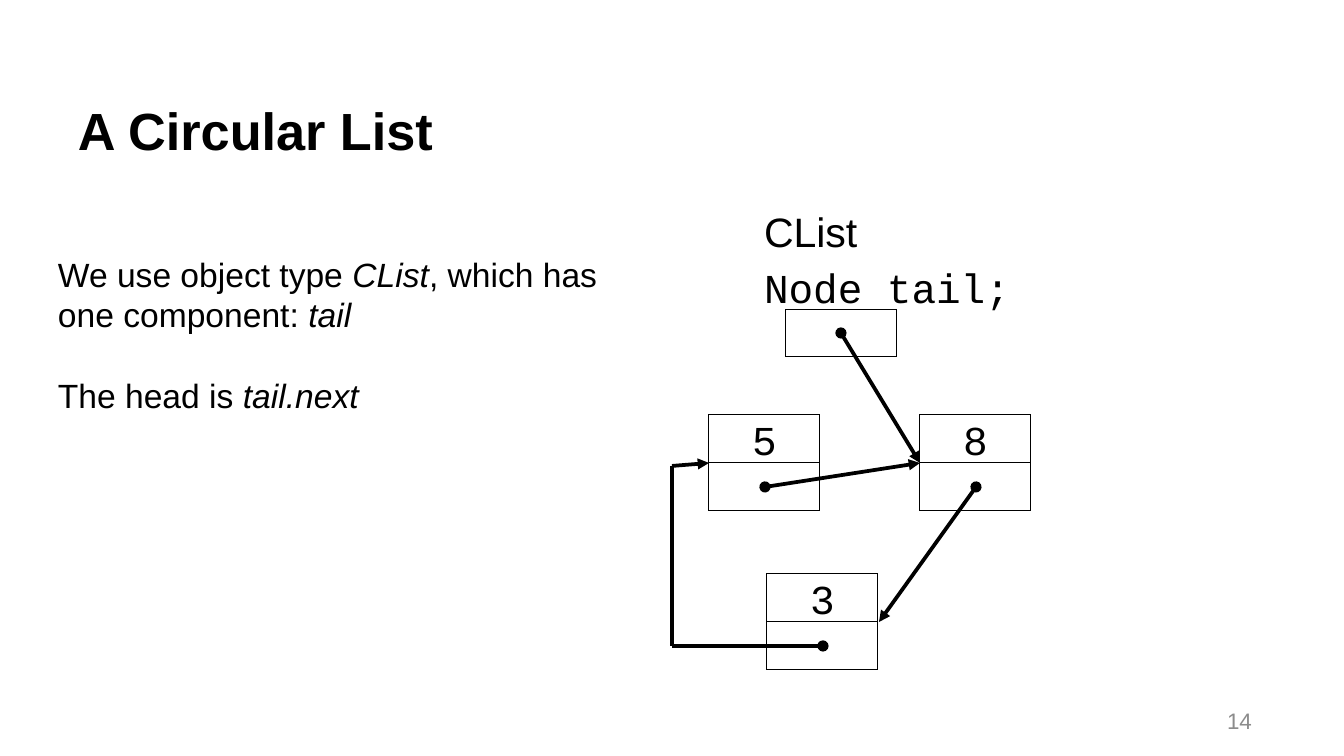
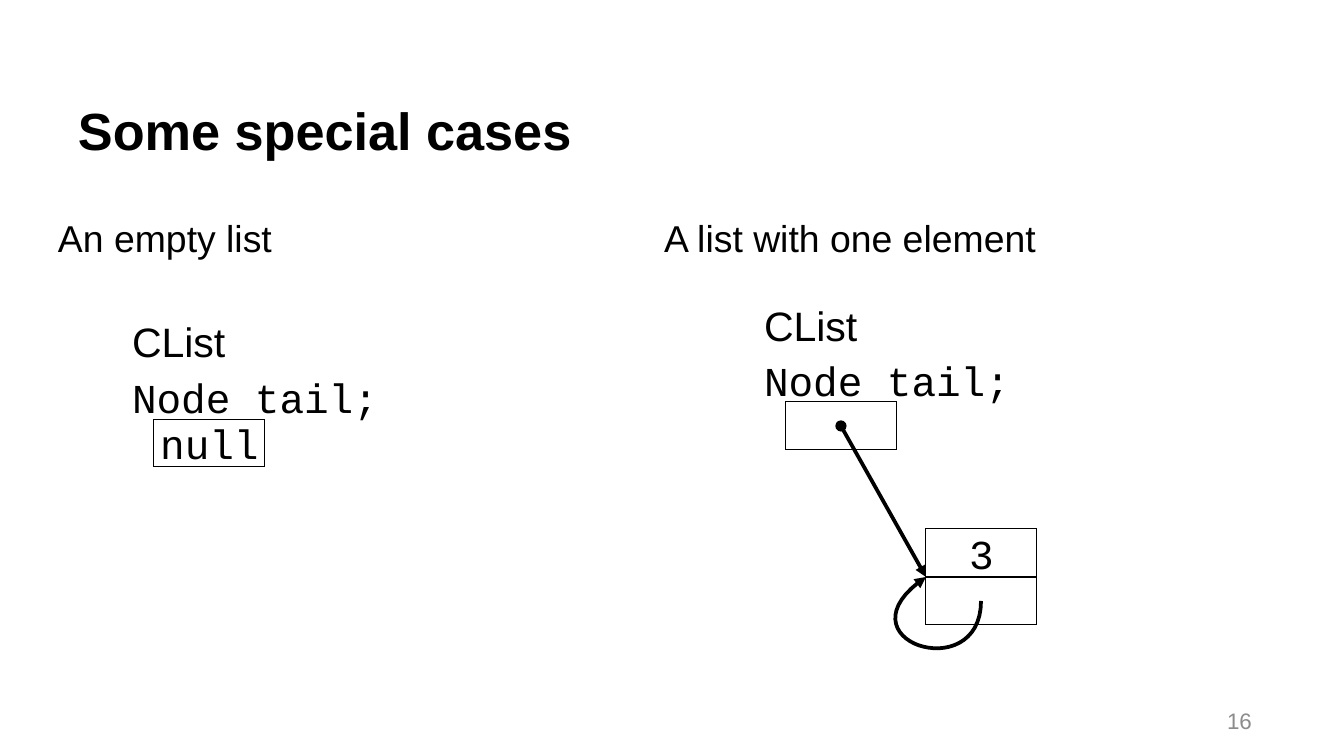
"""Build two slides on circular linked lists."""
import pptx
import pptx.util
import pptx.dml.color
import pptx.enum.shapes
import pptx.enum.text
import lxml.etree

PX = 9144000 / 1344
BLACK, GREY = "000000", "8C8C8C"
SANS, MONO = "Arial", "Courier New"
CELL_W, CELL_H = 111, 48
ALIGN = pptx.enum.text.PP_ALIGN
ANCHOR = pptx.enum.text.MSO_ANCHOR
RECT = pptx.enum.shapes.MSO_SHAPE.RECTANGLE
STRAIGHT = pptx.enum.shapes.MSO_CONNECTOR.STRAIGHT
NS = "{http://schemas.openxmlformats.org/drawingml/2006/main}"


def write(sp, paras, size, margins=(0, 0, 0, 0), align=ALIGN.LEFT,
          anchor=ANCHOR.TOP, gap=0, color=BLACK):
    """Fill a shape with paragraphs, each a list of (text, font, bold, italic) runs."""
    tf = sp.text_frame
    tf.word_wrap = True
    tf.auto_size = pptx.enum.text.MSO_AUTO_SIZE.NONE
    tf.vertical_anchor = anchor
    tf.margin_left, tf.margin_top, tf.margin_right, tf.margin_bottom = [
        round(m * PX) for m in margins]
    for i, runs in enumerate(paras):
        p = tf.add_paragraph() if i else tf.paragraphs[0]
        pPr = p._p.get_or_add_pPr()
        pPr.set("marL", "0")
        pPr.set("indent", "0")
        lxml.etree.SubElement(pPr, NS + "buNone")
        p.alignment = align
        p.line_spacing = 1.0
        p.space_before = pptx.util.Pt(gap if i else 0)
        for text, font, bold, italic in runs:
            r = p.add_run()
            r.text = text
            r.font.name = font
            r.font.size = pptx.util.Pt(size)
            r.font.bold = bold
            r.font.italic = italic
            r.font.color.rgb = pptx.dml.color.RGBColor.from_string(color)


def stroke(sp, width, head="none", tail="none"):
    """Give a shape or connector a black line with optional ends and no shadow."""
    sp.line.color.rgb = pptx.dml.color.RGBColor.from_string(BLACK)
    spPr = sp._element.spPr
    ln = spPr.find(NS + "ln")
    ln.set("w", str(int(pptx.util.Pt(width))))
    lxml.etree.SubElement(ln, NS + "headEnd", type=head)
    lxml.etree.SubElement(ln, NS + "tailEnd", type=tail)
    lxml.etree.SubElement(spPr, NS + "effectLst")


slides = [
    {
        "number": "14", "title": "A Circular List", "layout": 1,
        "size": 18, "top": 39,
        "lists": [[
            [("We use object type ", False), ("CList", True),
             (", which has one component: ", False), ("tail", True)],
            [("The head is ", False), ("tail.next", True)],
        ]],
        "clists": [(764, 207, "")],
        "nodes": [("5", 709, 415), ("8", 920, 415), ("3", 767, 574)],
        "links": [
            (841, 333, 920, 463, "oval", "triangle"),
            (765, 487, 920, 463, "oval", "triangle"),
            (976, 487, 879, 622, "oval", "triangle"),
            (823, 646, 672, 646, "oval", "none"),
            (672, 646, 672, 466, "none", "none"),
            (672, 466, 709, 463, "none", "triangle"),
        ],
        "loops": [],
    },
    {
        "number": "16", "title": "Some special cases", "layout": 3,
        "size": 20, "top": 0,
        "lists": [[[("An empty list", False)]], [[("A list with one element", False)]]],
        "clists": [(132, 317, "null"), (764, 300, "")],
        "nodes": [("3", 926, 529)],
        "links": [(841, 426, 926, 577, "oval", "triangle")],
        "loops": [((981, 601), (981, 688), (833, 640), (926, 577))],
    },
]

prs = pptx.Presentation()
prs.slide_width = round(1344 * PX)
prs.slide_height = round(756 * PX)

for data in slides:
    s = prs.slides.add_slide(prs.slide_layouts[data["layout"]])
    title, *bodies = s.placeholders
    title.left, title.top, title.width, title.height = [
        round(v * PX) for v in (78, 98, 1185, 67)]
    write(title, [[(data["title"], SANS, True, False)]], 28)

    for i, (sp, paras) in enumerate(zip(bodies, data["lists"])):
        sp.left, sp.top, sp.width, sp.height = [
            round(v * PX) for v in (58 + 606 * i, 215, 593, 434)]
        runs = [[(text, SANS, False, italic) for text, italic in para] for para in paras]
        write(sp, runs, data["size"], (0, data["top"], 0, 0), gap=21.4)

    cells = []
    for x, y, value in data["clists"]:
        sp = s.shapes.add_textbox(*[round(v * PX) for v in (x, y, 253, 98)])
        write(sp, [[("CList", SANS, False, False)], [("Node tail;", MONO, False, False)]],
              22, gap=3.6)
        cells.append((value, x + 22, y + 102))
    for value, x, y in data["nodes"]:
        cells += [(value, x, y), ("", x, y + CELL_H)]

    for value, x, y in cells:
        sp = s.shapes.add_shape(RECT, *[round(v * PX) for v in (x, y, CELL_W, CELL_H)])
        sp.fill.background()
        stroke(sp, 0)
        if value:
            write(sp, [[(value, MONO, False, False)]], 22,
                  align=ALIGN.CENTER, anchor=ANCHOR.MIDDLE)

    for *ends, head, tail in data["links"]:
        sp = s.shapes.add_connector(STRAIGHT, *[round(v * PX) for v in ends])
        stroke(sp, 2, head, tail)

    for curve in data["loops"]:
        points = []
        for step in range(33):
            t = step / 32
            weights = ((1 - t) ** 3, 3 * t * (1 - t) ** 2, 3 * t ** 2 * (1 - t), t ** 3)
            points.append([round(PX * sum(w * c for w, c in zip(weights, axis)))
                           for axis in zip(*curve)])
        outline = s.shapes.build_freeform(*points[0])
        outline.add_line_segments(points[1:], close=False)
        sp = outline.convert_to_shape()
        sp.fill.background()
        stroke(sp, 2, tail="triangle")

    sp = s.shapes.add_textbox(*[round(v * PX) for v in (962, 700, 303, 41)])
    write(sp, [[(data["number"], SANS, False, False)]], 12, (13, 7, 13, 7),
          ALIGN.RIGHT, ANCHOR.MIDDLE, color=GREY)

prs.save("out.pptx")
